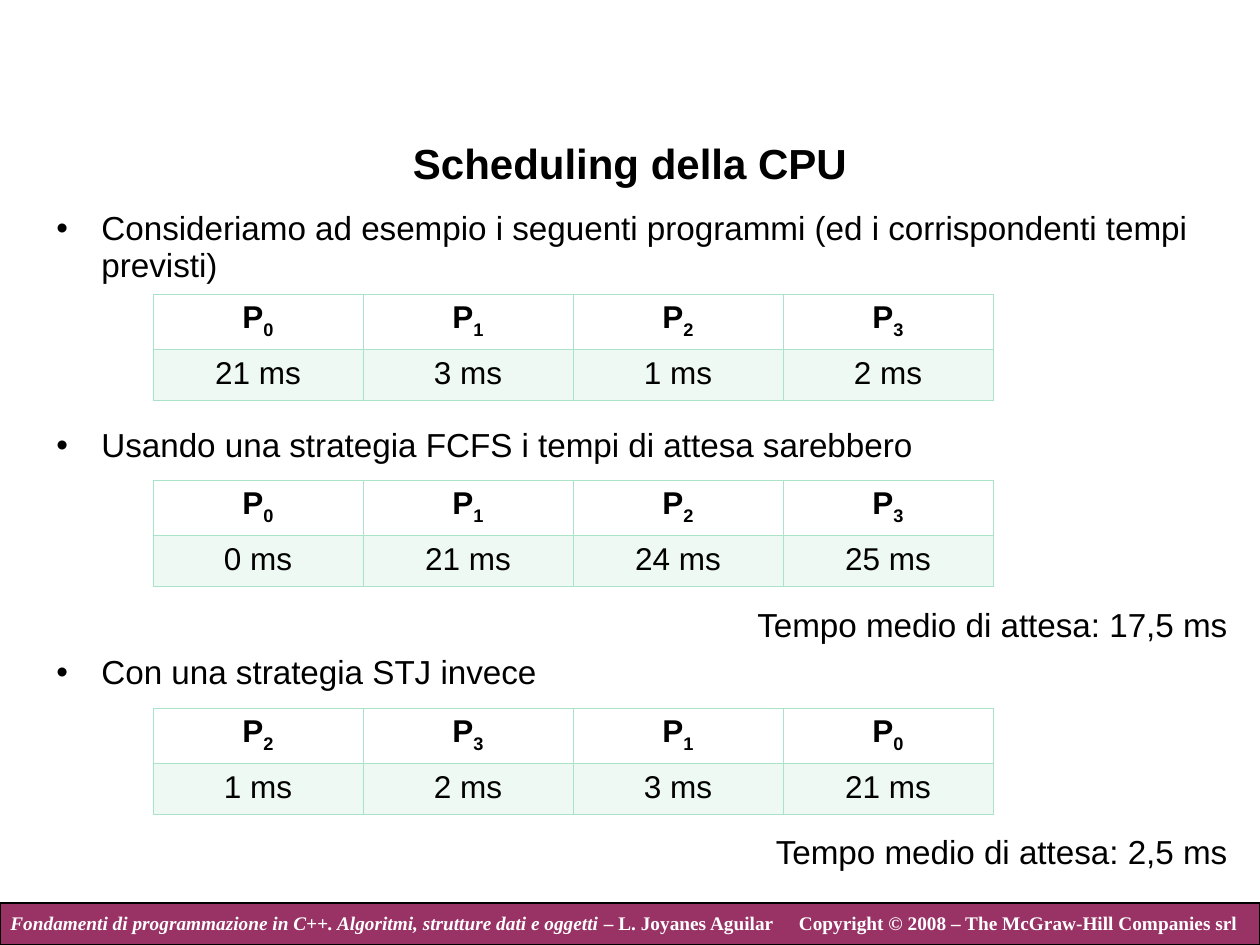
from lxml import etree
from pptx import Presentation
from pptx.dml.color import RGBColor
from pptx.enum.shapes import MSO_SHAPE
from pptx.enum.text import MSO_ANCHOR, PP_ALIGN
from pptx.oxml.ns import qn
from pptx.util import Emu, Pt

LEFT, CENTER, RIGHT = PP_ALIGN.LEFT, PP_ALIGN.CENTER, PP_ALIGN.RIGHT
MIDDLE = MSO_ANCHOR.MIDDLE
RECTANGLE = MSO_SHAPE.RECTANGLE
PX = 914400 // 126

TITLE = "Scheduling della CPU"
# text, is a bullet, free lines above it for a table
BODY = [
    ("Consideriamo ad esempio i seguenti programmi (ed i corrispondenti tempi previsti)", True, 0),
    ("Usando una strategia FCFS i tempi di attesa sarebbero", True, 3),
    ("Tempo medio di attesa: 17,5 ms", False, 3),
    ("Con una strategia STJ invece", True, 0),
    ("Tempo medio di attesa: 2,5 ms", False, 3),
]
# top, process numbers, times in ms
TABLES = [
    (294, (0, 1, 2, 3), (21, 3, 1, 2)),
    (480, (0, 1, 2, 3), (0, 21, 24, 25)),
    (708, (2, 3, 1, 0), (1, 2, 3, 21)),
]
BOOK = "Fondamenti di programmazione in C++. Algoritmi, strutture dati e oggetti"
AUTHOR = " – L. Joyanes Aguilar"
COPYRIGHT = "Copyright © 2008 – The McGraw-Hill Companies srl"

BLACK, WHITE, PLUM, MINT = "000000", "FFFFFF", "993366", "AAE2CA"
TABLE_LEFT, COLUMN, ROWS = 153, 210, (55, 51)
BODY_SIZE, LINE, GAP, PITCH, INDENT = 19, 0.94, 5, 25.5, 45
THIN, THICK = 0.45, 0.96


def px(*lengths):
    return [Emu(n * PX) for n in lengths]


def rgb(color):
    return RGBColor.from_string(color)


def add_text(p, text, size=18, font="Arial", color=BLACK, bold=False,
             italic=False, align=None, baseline=0):
    if align is not None:
        p.alignment = align
    r = p.add_run()
    r.text = text
    f = r.font
    f.size, f.name, f.bold, f.italic = Pt(size), font, bold, italic
    f.color.rgb = rgb(color)
    if baseline:
        f._element.set("baseline", str(baseline * 1000))


def add_box(slide, box, wrap=True):
    tf = slide.shapes.add_textbox(*px(*box)).text_frame
    tf.word_wrap = wrap
    return tf


def set_indent(p, bullet):
    pPr = p._p.get_or_add_pPr()
    pPr.set("marL", str(INDENT * PX))
    pPr.set("indent", str(-INDENT * PX))
    if bullet:
        etree.SubElement(pPr, qn("a:buFont"), typeface="Arial")
        etree.SubElement(pPr, qn("a:buChar"), char="•")


def set_borders(cell, **widths):
    """Draw the given sides (L, R, T, B), which must precede the cell's fill."""
    tcPr = cell._tc.get_or_add_tcPr()
    for i, (side, width) in enumerate(widths.items()):
        ln = etree.Element(qn("a:ln" + side), w=str(Pt(width)))
        fill = etree.SubElement(ln, qn("a:solidFill"))
        etree.SubElement(fill, qn("a:srgbClr"), val=MINT)
        tcPr.insert(i, ln)


def add_body(slide):
    tf = add_box(slide, (44, 204, 1196, 684))
    for i, (text, bullet, free_lines) in enumerate(BODY):
        p = tf.add_paragraph() if i else tf.paragraphs[0]
        set_indent(p, bullet)
        p.line_spacing = LINE
        p.space_before = Pt(GAP + free_lines * PITCH if i else 0)
        add_text(p, text, size=BODY_SIZE, align=LEFT if bullet else RIGHT)


def add_times_table(slide, top, processes, times):
    frame = slide.shapes.add_table(
        2, len(times), *px(TABLE_LEFT, top, COLUMN * len(times), sum(ROWS)))
    table = frame.table
    table.first_row = table.horz_banding = False
    for row, height in zip(table.rows, ROWS):
        row.height = Emu(height * PX)
    for col, (process, time) in enumerate(zip(processes, times)):
        table.columns[col].width = Emu(COLUMN * PX)
        head, value = table.cell(0, col), table.cell(1, col)

        p = head.text_frame.paragraphs[0]
        add_text(p, "P", bold=True, align=CENTER)
        add_text(p, str(process), bold=True, baseline=-25)
        head.fill.background()
        set_borders(head, L=THIN, R=THIN, T=THIN, B=THICK)

        add_text(value.text_frame.paragraphs[0], f"{time} ms", align=CENTER)
        value.fill.solid()
        value.fill.fore_color.rgb = rgb(MINT)
        tint = value._tc.tcPr.find(".//" + qn("a:srgbClr"))
        etree.SubElement(tint, qn("a:alpha"), val="20000")
        set_borders(value, L=THIN, R=THIN, T=THICK, B=THIN)


def add_footer(slide):
    bar = slide.shapes.add_shape(RECTANGLE, *px(0, 903, 1260, 42))
    bar.shadow.inherit = False
    bar.fill.solid()
    bar.fill.fore_color.rgb = rgb(PLUM)
    bar.line.color.rgb = rgb(BLACK)
    bar.line.width = Pt(0.75)

    style = dict(size=11, font="Times New Roman", color=WHITE, bold=True)
    p = add_box(slide, (-2, 905, 790, 37), wrap=False).paragraphs[0]
    add_text(p, BOOK, italic=True, **style)
    add_text(p, AUTHOR, **style)
    p = add_box(slide, (786, 905, 464, 37), wrap=False).paragraphs[0]
    add_text(p, COPYRIGHT, align=RIGHT, **style)


def main():
    prs = Presentation()
    prs.slide_width, prs.slide_height = px(1260, 945)
    slide = prs.slides.add_slide(prs.slide_layouts[5])
    add_footer(slide)

    title = slide.shapes.title
    title.left, title.top, title.width, title.height = px(95, 85, 1070, 156)
    title.text_frame.vertical_anchor = MIDDLE
    add_text(title.text_frame.paragraphs[0], TITLE, size=24, bold=True, align=CENTER)

    add_body(slide)
    for top, processes, times in TABLES:
        add_times_table(slide, top, processes, times)
    prs.save("out.pptx")


if __name__ == "__main__":
    main()
